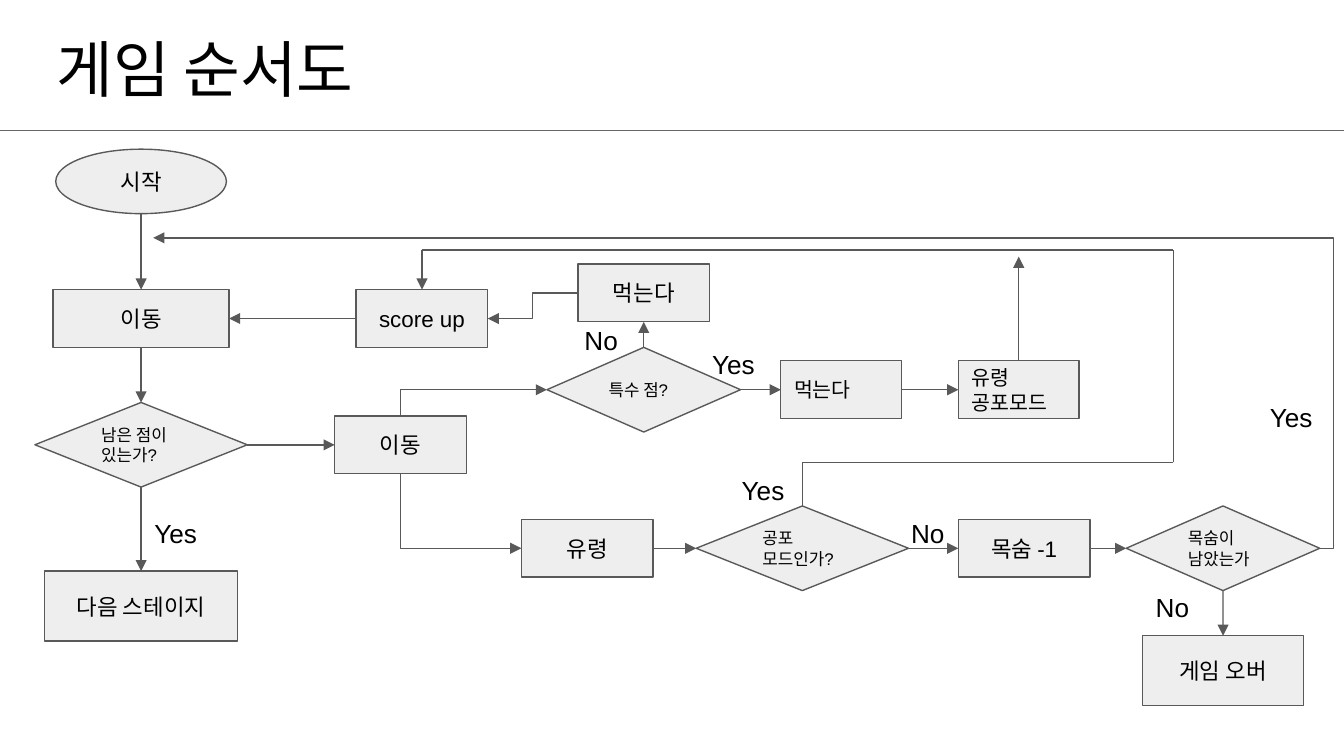
from itertools import pairwise

from lxml import etree
from pptx import Presentation
from pptx.dml.color import RGBColor
from pptx.enum import shapes, text
from pptx.oxml.ns import qn
from pptx.util import Inches, Pt

BLACK = RGBColor(0x00, 0x00, 0x00)
NODE_FILL = RGBColor(0xEE, 0xEE, 0xEE)
NODE_LINE = RGBColor(0x59, 0x59, 0x59)
RULE_LINE = RGBColor(0x66, 0x66, 0x66)

OVAL = shapes.MSO_SHAPE.OVAL
RECT = shapes.MSO_SHAPE.RECTANGLE
DIAMOND = shapes.MSO_SHAPE.DIAMOND
STRAIGHT = shapes.MSO_CONNECTOR.STRAIGHT
ELBOW = shapes.MSO_CONNECTOR.ELBOW
CENTER, LEFT = text.PP_ALIGN.CENTER, text.PP_ALIGN.LEFT
TOP_SIDE, LEFT_SIDE, BOTTOM_SIDE, RIGHT_SIDE = range(4)

# Column and row centres of the flowchart
START_X, LAST_X, SPECIAL_X = 1.05, 9.1, 4.79
SCORE_Y, SPECIAL_Y, MOVE_Y, GHOST_Y = 2.37, 2.9, 3.31, 4.08
STEP = (0.98, 0.43)
SMALL_STEP = (0.9, 0.43)
QUESTION = (1.44, 0.63)
WIDE_QUESTION = (1.58, 0.63)

# name: (words, preset, centre x, centre y, size, points, alignment)
NODES = {
    "start": ("시작", OVAL, START_X, 1.35, (1.27, 0.48), 12, CENTER),
    "move": ("이동", RECT, START_X, SCORE_Y, (1.31, 0.43), 12, CENTER),
    "dots left": ("남은 점이 있는가?", DIAMOND, START_X, MOVE_Y, WIDE_QUESTION, 9, LEFT),
    "next stage": ("다음 스테이지", RECT, START_X, 4.51, (1.44, 0.52), 12, CENTER),
    "step": ("이동", RECT, 2.98, MOVE_Y, STEP, 12, CENTER),
    "score": ("score up", RECT, 3.14, SCORE_Y, STEP, 12, CENTER),
    "eat": ("먹는다", RECT, SPECIAL_X, 2.18, STEP, 12, CENTER),
    "special": ("특수 점?", DIAMOND, SPECIAL_X, SPECIAL_Y, QUESTION, 9, LEFT),
    "eat special": ("먹는다", RECT, 6.26, SPECIAL_Y, SMALL_STEP, 11, LEFT),
    "fear mode": ("유령 공포모드", RECT, 7.58, SPECIAL_Y, SMALL_STEP, 11, LEFT),
    "ghost": ("유령", RECT, 4.37, GHOST_Y, STEP, 12, CENTER),
    "in fear": ("공포 모드인가?", DIAMOND, 5.97, GHOST_Y, WIDE_QUESTION, 9, LEFT),
    "lose life": ("목숨 -1", RECT, 7.62, GHOST_Y, STEP, 12, CENTER),
    "lives left": ("목숨이 남았는가", DIAMOND, LAST_X, GHOST_Y, QUESTION, 9, LEFT),
    "game over": ("게임 오버", RECT, LAST_X, 4.99, (1.2, 0.52), 12, CENTER),
}

ARROWS = [
    ("move", BOTTOM_SIDE, "dots left", TOP_SIDE),
    ("dots left", BOTTOM_SIDE, "next stage", TOP_SIDE),
    ("dots left", RIGHT_SIDE, "step", LEFT_SIDE),
    ("score", LEFT_SIDE, "move", RIGHT_SIDE),
    ("special", TOP_SIDE, "eat", BOTTOM_SIDE),
    ("special", RIGHT_SIDE, "eat special", LEFT_SIDE),
    ("eat special", RIGHT_SIDE, "fear mode", LEFT_SIDE),
    ("ghost", RIGHT_SIDE, "in fear", LEFT_SIDE),
    ("in fear", RIGHT_SIDE, "lose life", LEFT_SIDE),
    ("lose life", RIGHT_SIDE, "lives left", LEFT_SIDE),
    ("lives left", BOTTOM_SIDE, "game over", TOP_SIDE),
]

# One-corner arrows, listed from the arrowhead back to the source
CORNERS = [
    ("special", LEFT_SIDE, "step", TOP_SIDE),
    ("ghost", LEFT_SIDE, "step", BOTTOM_SIDE),
]

SCORE_LOOP = [(5.97, 3.76), (5.97, 3.44), (8.73, 3.44),
              (8.73, 1.86), (3.14, 1.86), (3.14, 2.15)]

LABELS = [
    ("Yes", 1.05, 3.76), ("No", 4.25, 2.32), ("No", 8.5, 4.31),
    ("Yes", 5.2, 2.5), ("Yes", 9.35, 2.9), ("No", 6.68, 3.76),
    ("Yes", 5.42, 3.44),
]


def write(frame, words, size, font="Arial", align=LEFT, insets=(0.1, 0.1),
          anchor=text.MSO_ANCHOR.TOP):
    frame.word_wrap = True
    frame.auto_size = text.MSO_AUTO_SIZE.NONE
    frame.vertical_anchor = anchor
    frame.margin_left = frame.margin_right = Inches(insets[0])
    frame.margin_top = frame.margin_bottom = Inches(insets[1])
    para = frame.paragraphs[0]
    para.alignment = align
    span = para.add_run()
    span.text = words
    span.font.size = Pt(size)
    span.font.name = font
    span.font.color.rgb = BLACK


def add_node(page, words, preset, x, y, size, points, align):
    width, height = size
    node = page.shapes.add_shape(preset, Inches(x - width / 2), Inches(y - height / 2),
                                 Inches(width), Inches(height))
    node.shadow.inherit = False
    node.fill.solid()
    node.fill.fore_color.rgb = NODE_FILL
    node.line.color.rgb = NODE_LINE
    node.line.width = Pt(0.75)
    write(node.text_frame, words, points, align=align, anchor=text.MSO_ANCHOR.MIDDLE)
    return node


def add_line(page, begin=(0, 0), end=(0, 0), kind=STRAIGHT, arrow="tailEnd", color=NODE_LINE):
    """Draw a connector; arrow is tailEnd (at end), headEnd (at begin) or None."""
    line = page.shapes.add_connector(kind, *map(Inches, begin + end))
    line.line.color.rgb = color
    line.line.width = Pt(0.75)
    properties = line._element.spPr
    if arrow:
        etree.SubElement(properties.get_or_add_ln(), qn(f"a:{arrow}"), type="triangle")
    etree.SubElement(properties, qn("a:effectLst"))
    return line


def join(page, nodes, source, source_side, target, target_side, **style):
    line = add_line(page, **style)
    line.begin_connect(nodes[source], source_side)
    line.end_connect(nodes[target], target_side)
    return line


def main():
    deck = Presentation()
    deck.slide_width = Inches(10)
    deck.slide_height = deck.slide_width * 9 // 16
    page = deck.slides.add_slide(deck.slide_layouts[5])

    title = page.shapes.title
    title.left, title.top = Inches(0.35), Inches(0.19)
    title.width, title.height = Inches(3.36), Inches(0.63)
    write(title.text_frame, "게임 순서도", 33, "Calibri", insets=(0.07, 0.04))
    add_line(page, (0, 0.97), (10, 0.97), arrow=None, color=RULE_LINE)

    nodes = {name: add_node(page, *node) for name, node in NODES.items()}

    for arrow in ARROWS:
        join(page, nodes, *arrow)
    for corner in CORNERS:
        line = join(page, nodes, *corner, kind=ELBOW, arrow="headEnd")
        line._element.spPr.find(qn("a:prstGeom")).set("prst", "bentConnector2")
    join(page, nodes, "eat", LEFT_SIDE, "score", RIGHT_SIDE, kind=ELBOW)

    start_arrow = add_line(page, (START_X, 1.59), (START_X, 2.15))
    start_arrow.end_connect(nodes["move"], TOP_SIDE)
    fear_arrow = add_line(page, (7.58, 2.68), (7.58, 1.91))
    fear_arrow.begin_connect(nodes["fear mode"], TOP_SIDE)

    # The restart line leaves to the right before it turns back
    restart = add_line(page, (9.82, GHOST_Y), (1.14, 1.77), kind=ELBOW)
    restart.begin_connect(nodes["lives left"], RIGHT_SIDE)
    adjustments = restart._element.spPr.find(qn("a:prstGeom")).get_or_add_avLst()
    etree.SubElement(adjustments, qn("a:gd"), name="adj1", fmla="val -1200")

    for begin, end in pairwise(SCORE_LOOP):
        line = add_line(page, begin, end, arrow="tailEnd" if end == SCORE_LOOP[-1] else None)
        if begin == SCORE_LOOP[0]:
            line.begin_connect(nodes["in fear"], TOP_SIDE)
        if end == SCORE_LOOP[-1]:
            line.end_connect(nodes["score"], TOP_SIDE)

    for words, left, top in LABELS:
        box = page.shapes.add_textbox(Inches(left), Inches(top), Inches(0.62), Inches(0.18))
        write(box.text_frame, words, 14)

    deck.save("out.pptx")


if __name__ == "__main__":
    main()
